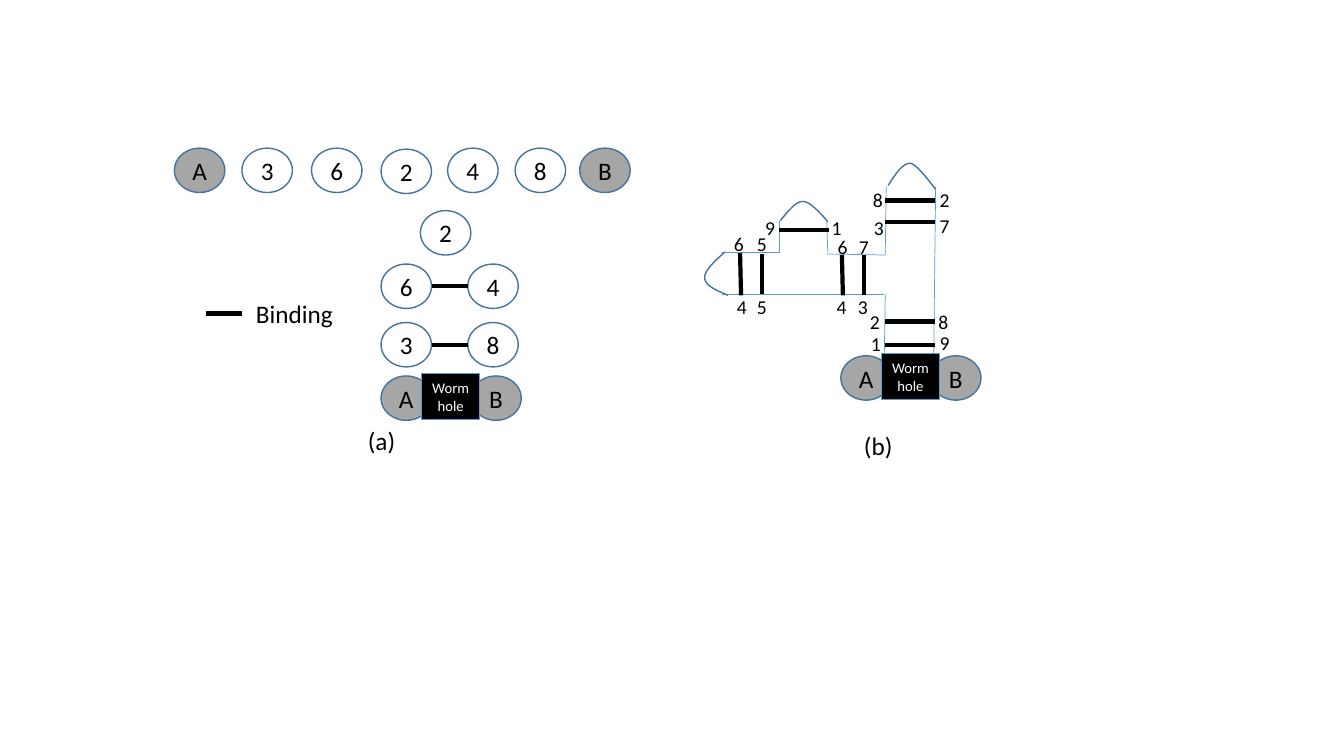
"""Draw a number chain folded by bindings, with a wormhole joining A and B."""
import pptx
import pptx.dml.color
import pptx.enum.shapes
import pptx.enum.text
import pptx.oxml
import pptx.oxml.ns
import pptx.util

Inches = pptx.util.Inches
Pt = pptx.util.Pt
RGBColor = pptx.dml.color.RGBColor
SHAPE = pptx.enum.shapes.MSO_SHAPE
ANCHOR = pptx.enum.text.MSO_ANCHOR
ALIGN = pptx.enum.text.PP_ALIGN
GROW = pptx.enum.text.MSO_AUTO_SIZE.SHAPE_TO_FIT_TEXT

BLACK = RGBColor(0x00, 0x00, 0x00)
WHITE = RGBColor(0xFF, 0xFF, 0xFF)
GREY = RGBColor(0xA6, 0xA6, 0xA6)
OUTLINE = RGBColor(0x43, 0x73, 0x9E)
BLUE = RGBColor(0x5B, 0x9B, 0xD5)


def write(frame, words, size, color=BLACK, align=ALIGN.LEFT):
    """Put one run of text in a frame."""
    frame.word_wrap = True
    frame.paragraphs[0].alignment = align
    run = frame.paragraphs[0].add_run()
    run.text = words
    run.font.name = "Calibri"
    run.font.size = Pt(size)
    run.font.color.rgb = color


def outline(part, color, width):
    """Set the line of a shape and remove its shadow."""
    part.shadow.inherit = False
    part.line.color.rgb = color
    part.line.width = Pt(width)


deck = pptx.Presentation()
deck.slide_width, deck.slide_height = Inches(13.33), Inches(7.5)
slide = deck.slides.add_slide(deck.slide_layouts[6])
shapes = slide.shapes

beads = [
    ("A", 1.73, 1.47), ("3", 2.4, 1.47), ("6", 3.09, 1.47), ("2", 3.78, 1.48),
    ("4", 4.44, 1.47), ("8", 5.11, 1.47), ("B", 5.75, 1.47),
    ("2", 4.17, 2.09),
    ("6", 3.78, 2.62), ("4", 4.64, 2.62),
    ("3", 3.78, 3.2), ("8", 4.64, 3.2),
    ("A", 3.78, 3.73), ("B", 4.67, 3.73),
    ("A", 8.34, 3.53), ("B", 9.23, 3.53),
]
for name, left, top in beads:
    bead = shapes.add_shape(SHAPE.OVAL, Inches(left), Inches(top), Inches(0.5), Inches(0.44))
    outline(bead, OUTLINE, 1)
    if name in "AB":
        bead.fill.solid()
        bead.fill.fore_color.rgb = GREY
    else:
        bead.fill.background()
    bead.text_frame.vertical_anchor = ANCHOR.MIDDLE
    write(bead.text_frame, name, 18, align=ALIGN.CENTER)

strand = [
    (8.77, 3.6, 8.78, 2.92), (9.26, 3.62, 9.28, 1.85), (8.77, 2.92, 7.16, 2.92),
    (8.78, 2.53, 8.79, 1.85), (8.78, 2.53, 8.2, 2.52), (8.21, 2.5, 8.2, 2.19),
    (7.73, 2.5, 7.73, 2.19), (7.74, 2.5, 7.16, 2.5),
]
bindings = [(4.28, y, 4.64, y) for y in (2.84, 3.42)]
bindings += [(2.04, 3.11, 2.4, 3.11), (7.73, 2.28, 8.22, 2.28)]
bindings += [(8.78, y, 9.27, y) for y in (1.99, 2.2, 3.19, 3.42)]
bindings += [
    (8.57, 2.53, 8.57, 2.93), (8.35, 2.53, 8.36, 2.93),
    (7.56, 2.52, 7.56, 2.92), (7.34, 2.51, 7.35, 2.93),
]
for segments, color, width in ((strand, BLUE, 0.5), (bindings, BLACK, 3)):
    for ends in segments:
        link = shapes.add_connector(
            pptx.enum.shapes.MSO_CONNECTOR.STRAIGHT, *(Inches(end) for end in ends))
        link.line.color.rgb = color
        link.line.width = Pt(width)
        link._element.spPr.append(pptx.oxml.parse_xml(
            "<a:effectLst %s/>" % pptx.oxml.ns.nsdecls("a")))

hairpins = [
    [(7.19, 2.5), (7.09, 2.59), (6.98, 2.69), (6.99, 2.76),
     (6.99, 2.84), (7.15, 2.9), (7.22, 2.93)],
    [(7.74, 2.19), (7.82, 2.09), (7.9, 1.99), (7.97, 2),
     (8.05, 2), (8.21, 2.2), (8.21, 2.2)],
    [(8.81, 1.84), (8.88, 1.73), (8.95, 1.62), (9.03, 1.62),
     (9.1, 1.63), (9.28, 1.88), (9.28, 1.88)],
]
STEPS = 16
for controls in hairpins:
    points = []
    for first in (0, 3):
        for step in range(1, STEPS + 1):
            t = step / STEPS
            weights = ((1 - t) ** 3, 3 * t * (1 - t) ** 2, 3 * t * t * (1 - t), t ** 3)
            points.append(tuple(
                Inches(sum(w * p[axis] for w, p in zip(weights, controls[first:first + 4])))
                for axis in (0, 1)))
    start_x, start_y = controls[0]
    builder = shapes.build_freeform(Inches(start_x), Inches(start_y))
    builder.add_line_segments(points, close=False)
    hairpin = builder.convert_to_shape()
    hairpin.fill.background()
    outline(hairpin, OUTLINE, 1)

for left, top in ((4.18, 3.71), (8.74, 3.51)):
    wormhole = shapes.add_shape(
        SHAPE.RECTANGLE, Inches(left), Inches(top), Inches(0.58), Inches(0.45))
    wormhole.fill.solid()
    wormhole.fill.fore_color.rgb = BLACK
    outline(wormhole, BLUE, 0.75)
    wormhole.text_frame.vertical_anchor = ANCHOR.TOP
    wormhole.text_frame.auto_size = GROW
    write(wormhole.text_frame, "Wormhole", 10.5, WHITE, ALIGN.CENTER)

captions = [("Binding", 2.44, 2.91, 0.99), ("(a)", 3.55, 4.17, 0.51), ("(b)", 8.47, 4.22, 0.51)]
digits = [
    ("1", 8.54, 3.24), ("2", 8.53, 3.03), ("3", 8.41, 2.88), ("4", 8.2, 2.88),
    ("5", 7.41, 2.88), ("4", 7.21, 2.88), ("5", 7.41, 2.25), ("6", 7.18, 2.25),
    ("7", 8.42, 2.28), ("6", 8.21, 2.28), ("9", 7.49, 2.09), ("1", 8.15, 2.09),
    ("3", 8.57, 2.09), ("8", 8.56, 1.82), ("7", 9.22, 2.07), ("2", 9.22, 1.82),
    ("9", 9.22, 3.23), ("8", 9.21, 3.03),
]
labels = [(*caption, 0.4, 18) for caption in captions]
labels += [(*digit, 0.3, 0.34, 14) for digit in digits]
for words, left, top, width, height, size in labels:
    label = shapes.add_textbox(Inches(left), Inches(top), Inches(width), Inches(height))
    label.text_frame.auto_size = GROW
    write(label.text_frame, words, size)

deck.save("out.pptx")
